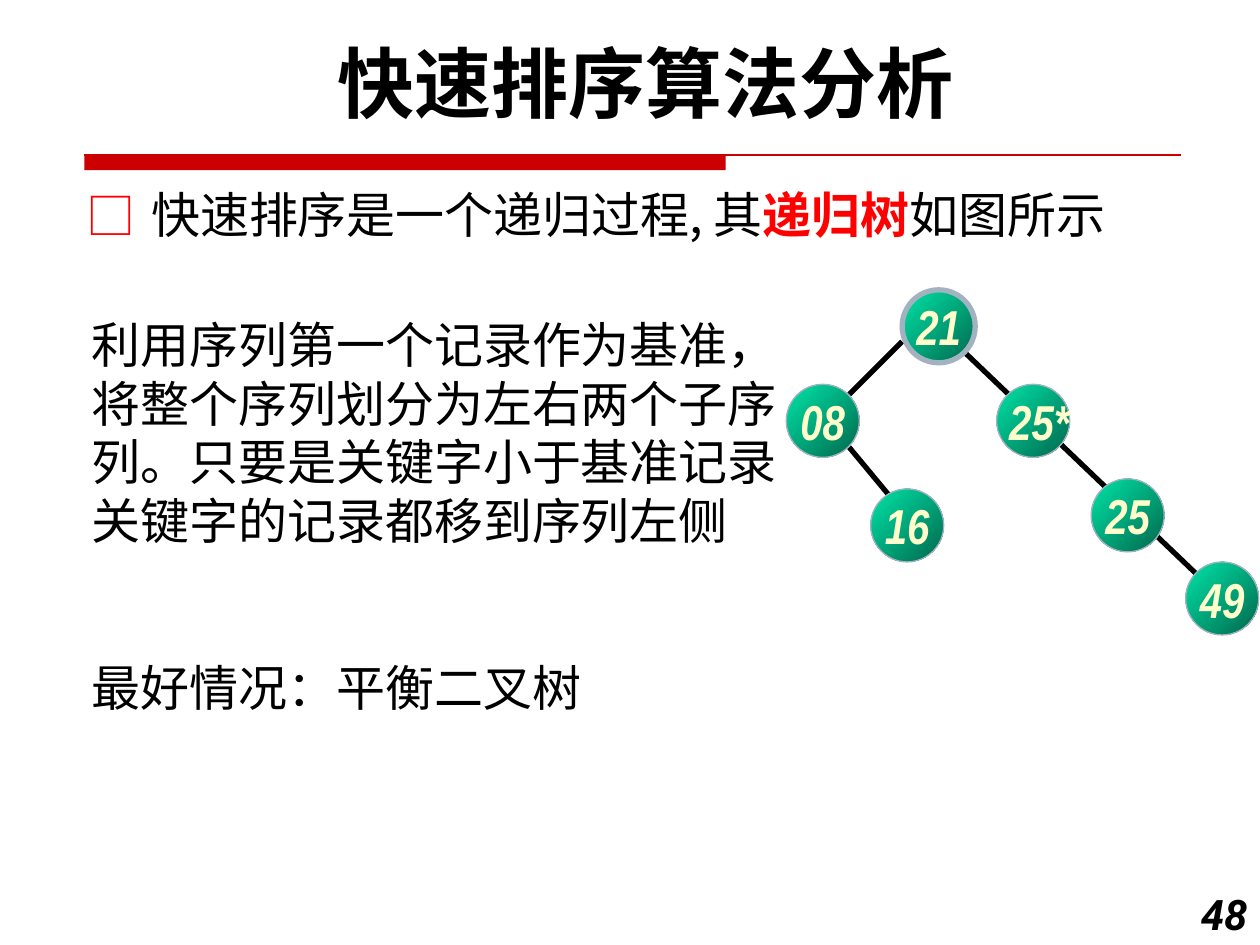
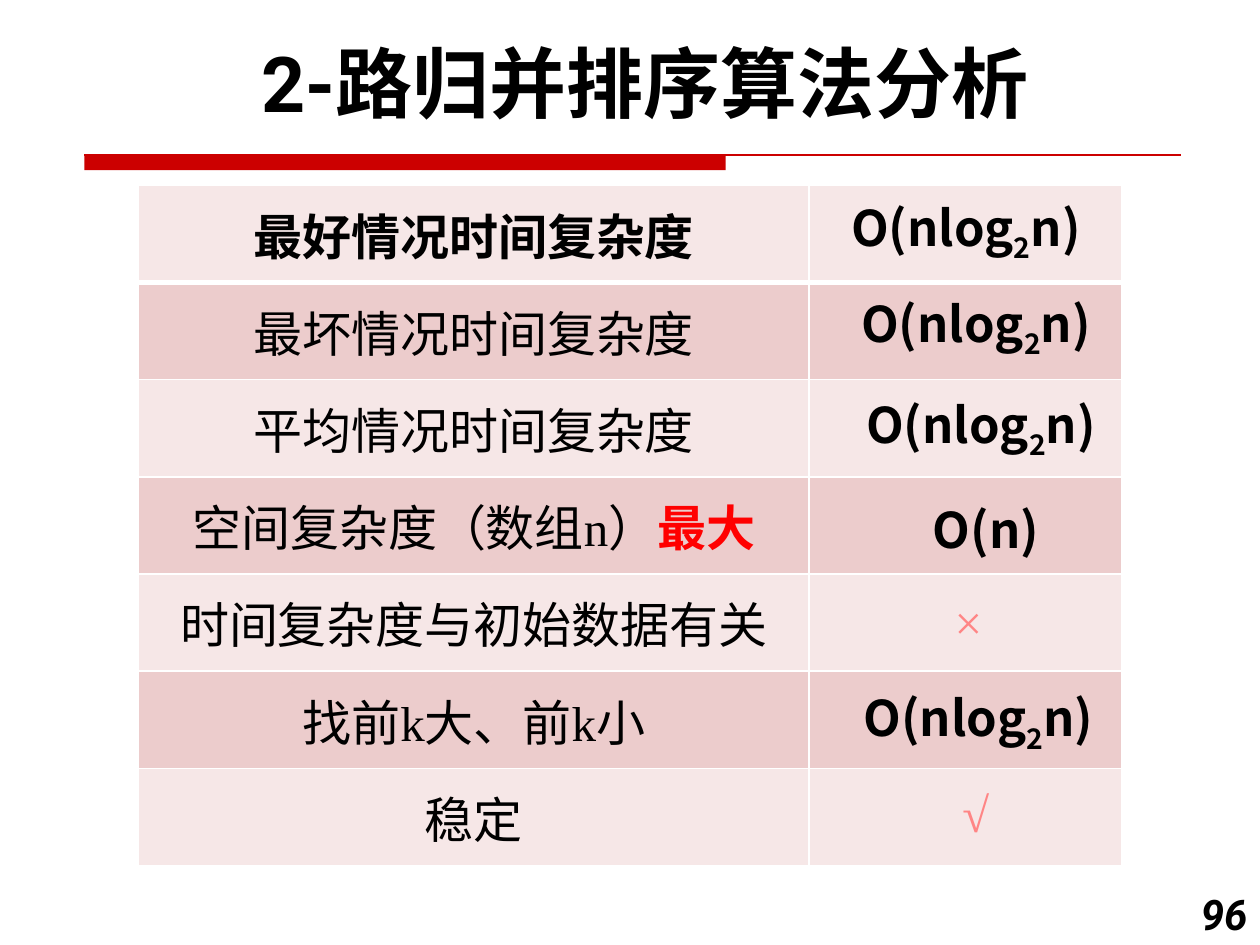
from collections import namedtuple
from dataclasses import dataclass

from lxml import etree
from pptx import Presentation
from pptx.dml.color import RGBColor as RGB
from pptx.enum.shapes import MSO_CONNECTOR as Line, MSO_SHAPE as Shape
from pptx.enum.text import MSO_ANCHOR as Anchor, MSO_AUTO_SIZE as Fit, PP_ALIGN as Align
from pptx.oxml.ns import qn
from pptx.util import Inches, Pt

Box = namedtuple("Box", "x y w h")


@dataclass(frozen=True)
class Theme:
    """Colours, fonts and type sizes of the deck."""
    black: str = "000000"
    white: str = "FFFFFF"
    band: str = "CC0000"
    accent: str = "FF0000"
    mark: str = "FF8585"
    node_light: str = "00E4A8"
    node_dark: str = "00684C"
    node_line: str = "A3B2C1"
    node_text: str = "FFFFCC"
    rows: tuple = ("F6E7E7", "ECCCCC")
    head: str = "Roboto"
    body: str = "Noto Sans CJK SC"
    serif: str = "Times New Roman"
    narrow: str = "Arial Narrow"
    title_pt: int = 44
    text_pt: int = 28
    number_pt: int = 24


T = Theme()
TITLE = Box(0.5, 0.23, 9.25, 0.84)
BAND = Box(0.67, 1.23, 8.7, 0.12)
NUMBER = Box(9.33, 7, 0.67, 0.5)


def rgb(code):
    """Turn a hex code into a colour."""
    return RGB.from_string(code)


def place(sp, box):
    """Move a shape to a box."""
    sp.left, sp.top, sp.width, sp.height = map(Inches, box)


def add_run(p, text, font=T.body, size=T.text_pt, color=T.black, bold=False, italic=False):
    """Append one formatted run to a paragraph."""
    r = p.add_run()
    r.text = text
    f = r.font
    f.name, f.size, f.bold, f.italic = font, Pt(size), bold, italic
    f.color.rgb = rgb(color)
    ea = etree.SubElement(r._r.get_or_add_rPr(), qn("a:ea"))
    ea.set("typeface", T.body)
    return r


def frame(sp, wrap=True, anchor=Anchor.MIDDLE, align=Align.LEFT):
    """Set up a text frame and return its first paragraph."""
    tf = sp.text_frame
    tf.auto_size, tf.word_wrap, tf.vertical_anchor = Fit.NONE, wrap, anchor
    for side in ("left", "right"):
        setattr(tf, f"margin_{side}", Inches(0.1))
    p = tf.paragraphs[0]
    p.alignment, p.space_before = align, Pt(0)
    return p


def add_text(s, box, **kw):
    """Add a text box and return its first paragraph."""
    return frame(s.shapes.add_textbox(*map(Inches, box)), **kw)


def add_line(s, x1, y1, x2, y2, color, width):
    """Draw a straight line without shadow."""
    ln = s.shapes.add_connector(Line.STRAIGHT, *map(Inches, (x1, y1, x2, y2)))
    ln.line.color.rgb, ln.line.width = rgb(color), Pt(width)
    etree.SubElement(ln._element.spPr, qn("a:effectLst"))


def add_band(s, box):
    """Draw the thick and thin red rule below the title."""
    sp = s.shapes.add_shape(Shape.RECTANGLE, *map(Inches, (box.x, box.y, 5.09, box.h)))
    sp.shadow.inherit = False
    sp.fill.solid()
    sp.fill.fore_color.rgb = rgb(T.band)
    sp.line.fill.background()
    add_line(s, box.x, box.y, box.x + box.w, box.y, T.band, 0.75)


def new_slide(prs, layout, title, number):
    """Add a slide with title, band and slide number."""
    s = prs.slides.add_slide(prs.slide_layouts[layout])
    place(s.shapes.title, TITLE)
    p = frame(s.shapes.title, align=Align.CENTER)
    add_run(p, title, T.head, T.title_pt, bold=True)
    add_band(s, BAND)
    p = add_text(s, NUMBER, align=Align.RIGHT)
    add_run(p, number, T.head, T.number_pt, bold=True, italic=True)
    return s


def add_lead(s, box):
    """Fill the body placeholder with the bulleted statement."""
    sp = s.placeholders[1]
    place(sp, box)
    p = frame(sp)
    ppr = p._p.get_or_add_pPr()
    ppr.set("marL", str(Inches(0.51)))
    ppr.set("indent", str(-Inches(0.51)))
    color = etree.SubElement(ppr, qn("a:buClr"))
    etree.SubElement(color, qn("a:srgbClr")).set("val", T.accent)
    etree.SubElement(ppr, qn("a:buFont")).set("typeface", T.body)
    etree.SubElement(ppr, qn("a:buChar")).set("char", "□")
    add_run(p, "快速排序是一个递归过程, 其")
    add_run(p, "递归树", color=T.accent, bold=True)
    add_run(p, "如图所示")


def add_explanation(s, box):
    """Write how the partition works and its best case."""
    p = add_text(s, box, anchor=Anchor.TOP)
    add_run(p, "利用序列第一个记录作为基准，将整个序列划分为左右两个子序列。"
               "只要是关键字小于基准记录关键字的记录都移到序列左侧")
    best = p._parent.add_paragraph()
    best.space_before = Pt(62)
    add_run(best, "最好情况：平衡二叉树")
    for para in (p, best):
        para.line_spacing = Pt(33.5)


def add_node(s, x, y, label, line_width):
    """Draw one round tree node with its key."""
    sp = s.shapes.add_shape(Shape.OVAL, *map(Inches, (x, y, 0.58, 0.58)))
    sp.shadow.inherit = False
    sp.fill.gradient()
    sp.fill.gradient_angle = 315
    for stop, color, pos in zip(sp.fill.gradient_stops, (T.node_light, T.node_dark), (0, 1)):
        stop.color.rgb, stop.position = rgb(color), pos
    sp.line.color.rgb, sp.line.width = rgb(T.node_line), Pt(line_width)
    p = frame(sp, wrap=False, align=Align.CENTER)
    sp.text_frame.margin_right = 0
    sp.text_frame.margin_left = Inches(0.1 if "*" in label else 0)
    add_run(p, label, T.narrow, color=T.node_text, bold=True, italic=True)


def add_tree(s, box):
    """Draw the recursion tree: edges first, nodes above."""
    edges = ((0.92, 0.41, 0.5, 0.83), (0.5, 1.25, 0.84, 1.66), (1.42, 0.5, 3.25, 2.25))
    nodes = (("21", 0.92, 0), ("08", 0, 0.75), ("16", 0.67, 1.58),
             ("25*", 1.67, 0.75), ("25", 2.42, 1.5), ("49", 3.17, 2.16))
    for x1, y1, x2, y2 in edges:
        add_line(s, box.x + x1, box.y + y1, box.x + x2, box.y + y2, T.black, 3)
    for label, x, y in nodes:
        add_node(s, box.x + x, box.y + y, label, 3 if label == "21" else 0.75)


def style_cell(cell, fill, bottom):
    """Fill a cell and give it white borders."""
    cell.fill.solid()
    cell.fill.fore_color.rgb = rgb(fill)
    cell.vertical_anchor = Anchor.MIDDLE
    pr = cell._tc.get_or_add_tcPr()
    for i, (side, width) in enumerate((("L", 1), ("R", 1), ("T", 1), ("B", bottom))):
        ln = etree.Element(qn(f"a:ln{side}"), w=str(Pt(width)))
        paint = etree.SubElement(ln, qn("a:solidFill"))
        etree.SubElement(paint, qn("a:srgbClr")).set("val", T.white)
        pr.insert(i, ln)


def add_result(s, box, text):
    """Write a complexity, lowering the base of its logarithm, or a mark."""
    p = add_text(s, box, wrap=False, align=Align.CENTER)
    if text in "×√":
        add_run(p, text, T.serif, color=T.mark)
        return
    before, log, after = text.partition("log2")
    add_run(p, before + log.rstrip("2"), bold=True)
    if log:
        base = add_run(p, "2", bold=True)
        base._r.get_or_add_rPr().set("baseline", "-25000")
        add_run(p, after, bold=True)


def add_summary(s, box):
    """Build the table of properties and the results over its second column."""
    rows = (("最好情况时间复杂度", "O(nlog2n)", 5.49, 0.08),
            ("最坏情况时间复杂度", "O(nlog2n)", 5.57, 0.84),
            ("平均情况时间复杂度", "O(nlog2n)", 5.61, 1.64),
            ("空间复杂度（数组n）", "O(n)", 5.65, 2.44),
            ("时间复杂度与初始数据有关", "×", 5.51, 3.17),
            ("找前k大、前k小", "O(nlog2n)", 5.59, 3.97),
            ("稳定", "√", 5.57, 4.7))
    table = s.shapes.add_table(len(rows), 2, *map(Inches, box)).table
    for col, width in zip(table.columns, (5.32, 2.48)):
        col.width = Inches(width)
    for i, (name, result, x, y) in enumerate(rows):
        for cell in table.rows[i].cells:
            style_cell(cell, T.rows[i % 2], 1 if i else 3)
        p = table.cell(i, 0).text_frame.paragraphs[0]
        p.alignment = Align.CENTER
        add_run(p, name, T.serif, bold=i == 0)
        if result == "O(n)":
            add_run(p, "最大", T.serif, color=T.accent, bold=True)
        add_result(s, Box(box.x + x, box.y + y, 2.15, 0.57), result)


def quick_sort_slide(prs):
    """Build the quick sort analysis."""
    s = new_slide(prs, 1, "快速排序算法分析", "48")
    add_lead(s, Box(0.59, 1.41, 9.41, 0.57))
    add_tree(s, Box(6.24, 2.3, 3.75, 2.74))
    add_explanation(s, Box(0.63, 2.45, 5.67, 3.3))


def merge_sort_slide(prs):
    """Build the two-way merge sort analysis."""
    s = new_slide(prs, 5, "2-路归并排序算法分析", "96")
    add_summary(s, Box(1.1, 1.47, 7.8, 5.4))


def main():
    """Build and save the deck."""
    prs = Presentation()
    prs.slide_width, prs.slide_height = Inches(10), Inches(7.5)
    quick_sort_slide(prs)
    merge_sort_slide(prs)
    prs.save("out.pptx")


if __name__ == "__main__":
    main()
